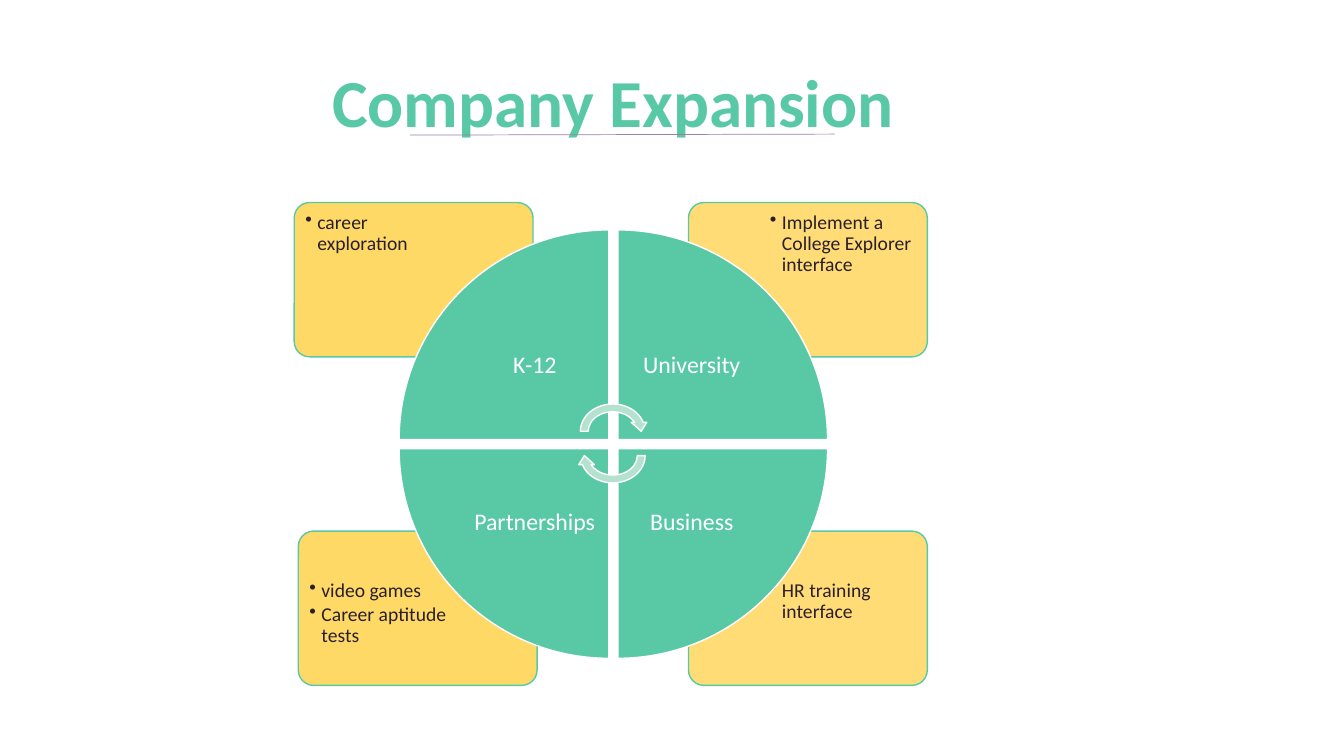
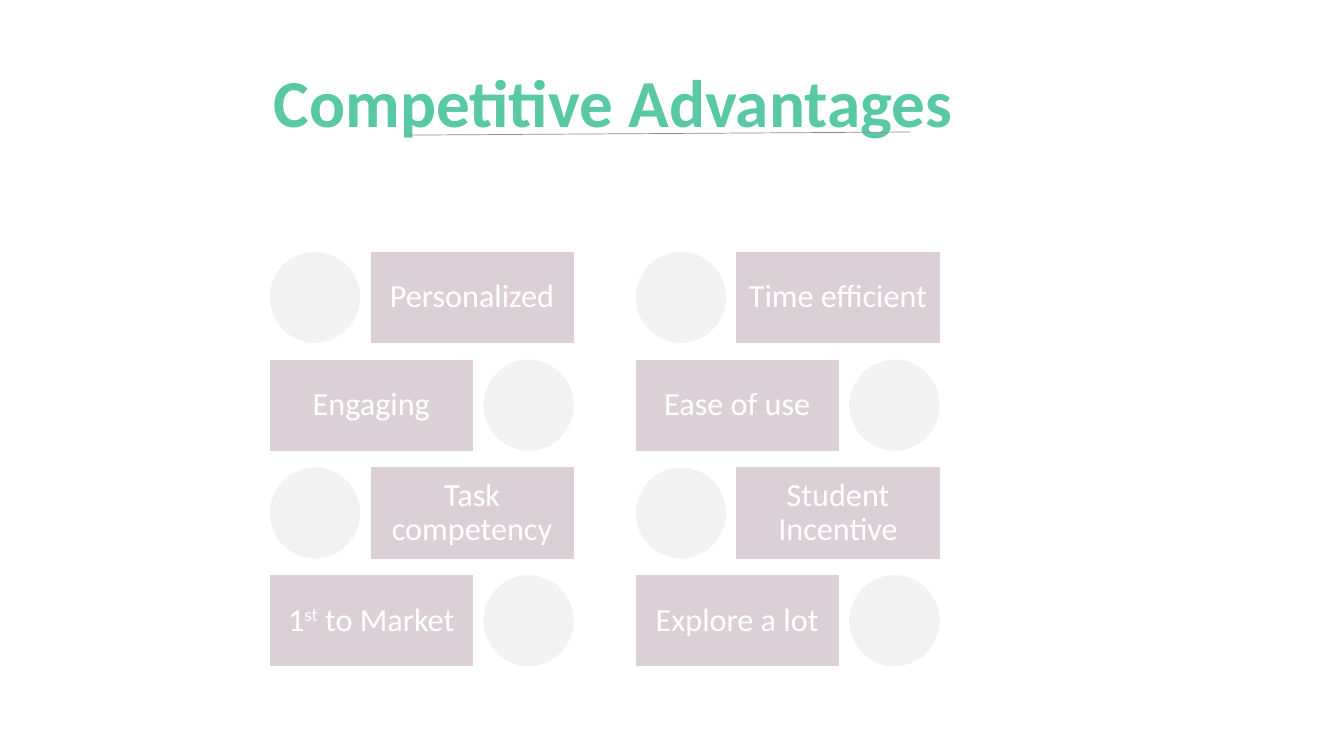
from lxml.etree import SubElement
from pptx import Presentation
from pptx.dml.color import RGBColor
from pptx.enum.shapes import MSO_CONNECTOR as Connector, MSO_SHAPE as Shape
from pptx.enum.text import MSO_ANCHOR as Anchor, MSO_AUTO_SIZE as AutoSize, PP_ALIGN as Align
from pptx.oxml.ns import qn
from pptx.util import Pt


def color(hex_code):
    return RGBColor.from_string(hex_code)


class Pages:
    """Shared style and the slide being built."""

    font = "Calibri"
    green, mint, yellow = "59C9A5", "B5E1CF", "FFD966"
    mauve, gray, white = "DCD0D7", "F2F2F2", "FFFFFF"
    ink, rule = "2A1F2D", "9E7FA6"

    def __init__(self):
        self.deck = Presentation()
        self.deck.slide_width, self.deck.slide_height = Pt(960), Pt(540)
        self.page = None

    def fill_text(self, box, lines, size, ink, inset, bold=False, bullets=False):
        frame = box.text_frame
        frame.word_wrap = True
        frame.auto_size = AutoSize.NONE
        frame.vertical_anchor = Anchor.TOP if bullets else Anchor.MIDDLE
        frame.margin_left = frame.margin_right = Pt(inset)
        frame.margin_top = frame.margin_bottom = Pt(inset)
        frame.text = "\n".join(lines)
        for para, line in zip(frame.paragraphs, lines):
            para.alignment = Align.LEFT if bullets else Align.CENTER
            para.line_spacing = 0.9
            para.space_before = Pt(0)
            if bullets:
                para.space_after = Pt(2)
                self.bullet(para)
            if "^" in line:
                self.superscript(para, line)
            for span in para.runs:
                span.font.name = self.font
                span.font.size = Pt(size)
                span.font.bold = bold
                span.font.color.rgb = color(ink)

    def superscript(self, para, line):
        para.text = ""
        for index, piece in enumerate(line.split("^")):
            span = para.add_run()
            span.text = piece
            if index % 2:
                span.font._element.set("baseline", "30000")

    def bullet(self, para):
        properties = para._p.get_or_add_pPr()
        properties.set("marL", str(Pt(8.6)))
        properties.set("indent", str(-Pt(8.6)))
        SubElement(properties, qn("a:buChar")).set("char", "•")

    def titled(self, title, rule_end):
        self.page = self.deck.slides.add_slide(self.deck.slide_layouts[5])
        box = self.page.shapes.title
        box.left, box.top, box.width, box.height = Pt(24), Pt(23), Pt(828), Pt(104.4)
        self.fill_text(box, [title], 48, self.green, 7.2, bold=True)
        self.line((293, 96.5), rule_end)

    def line(self, start, end):
        rule = self.page.shapes.add_connector(
            Connector.STRAIGHT, *(Pt(length) for length in (*start, *end)))
        rule.line.color.rgb = color(self.rule)
        rule.line.width = Pt(0.5)
        SubElement(rule._element.spPr, qn("a:effectLst"))

    def shape(self, kind, left, top, width, height, fill, outline=white, turn=0, opacity=100):
        shape = self.page.shapes.add_shape(kind, Pt(left), Pt(top), Pt(width), Pt(height))
        shape.shadow.inherit = False
        shape.rotation = turn
        shape.fill.solid()
        shape.fill.fore_color.rgb = color(fill)
        if opacity < 100:
            tint = shape._element.spPr.find(".//" + qn("a:srgbClr"))
            SubElement(tint, qn("a:alpha")).set("val", str(opacity * 1000))
        shape.line.color.rgb = color(outline)
        shape.line.width = Pt(1)
        return shape

    def text(self, left, top, width, height, lines, size, ink, inset, bullets=False):
        box = self.page.shapes.add_textbox(Pt(left), Pt(top), Pt(width), Pt(height))
        self.fill_text(box, lines, size, ink, inset, bullets=bullets)

    def card(self, left, top, lines, right, bottom):
        width, height, text_width, text_height = 170.6, 110.2, 114.5, 77.8
        card = self.shape(Shape.ROUNDED_RECTANGLE, left, top, width, height, self.yellow,
                          self.green, opacity=90 if right else 100)
        card.adjustments[0] = 0.1
        text_left = left + (width - text_width - 2.9 if right else 2.9)
        text_top = top + (height - text_height - 2.2 if bottom else 2.2)
        self.text(text_left, text_top, text_width, text_height, lines, 14, self.ink, 5, True)

    def wedge(self, column, row, label, turn):
        size, pitch, label_size = 149.8, 156.2, 105.8
        left, top = 285.1 + column * pitch, 164.2 + row * pitch
        self.shape(Shape.PIE_WEDGE, left, top, size, size, self.green, turn=turn)
        inward = size - label_size
        self.text(left + (1 - column) * inward, top + (1 - row) * inward,
                  label_size, label_size, [label], 17, self.white, 9.4)

    def advantage(self, left, top, label, circle_first):
        bar_left, circle_left = (left + 72, left) if circle_first else (left, left + 152.6)
        bar = self.shape(Shape.RECTANGLE, bar_left, top, 146.2, 66.2, self.mauve)
        self.fill_text(bar, [label], 23, self.white, 7.2)
        self.shape(Shape.OVAL, circle_left, top, 65.5, 66.2, self.gray)


pages = Pages()

pages.titled("Company Expansion", (596.2, 95.8))
for left, top, lines, right, bottom in (
    (491.8, 379.4, ["HR training interface"], True, True),
    (213.1, 379.4, ["video games", "Career aptitude tests"], False, True),
    (491.8, 144.7, ["Implement a College Explorer interface"], True, False),
    (210.2, 144.7, ["career exploration"], False, False),
):
    pages.card(left, top, lines, right, bottom)
for index, (column, row, label) in enumerate((
    (0, 0, "K-12"), (1, 0, "University"), (1, 1, "Business"), (0, 1, "Partnerships"),
)):
    pages.wedge(column, row, label, index * 90)
for top, turn in ((285.8, 0), (303.1, 180)):
    pages.shape(Shape.CIRCULAR_ARROW, 411.8, top, 51.8, 44.6, pages.mint, turn=turn)

pages.titled("Competitive Advantages", (650.2, 94.3))
for left, labels in (
    (192.2, ("Personalized", "Engaging", "Task competency", "1^st^ to Market")),
    (453.6, ("Time efficient", "Ease of use", "Student Incentive", "Explore a lot")),
):
    for row, label in enumerate(labels):
        pages.advantage(left, 179.3 + row * 77, label, row % 2 == 0)

pages.deck.save("out.pptx")
